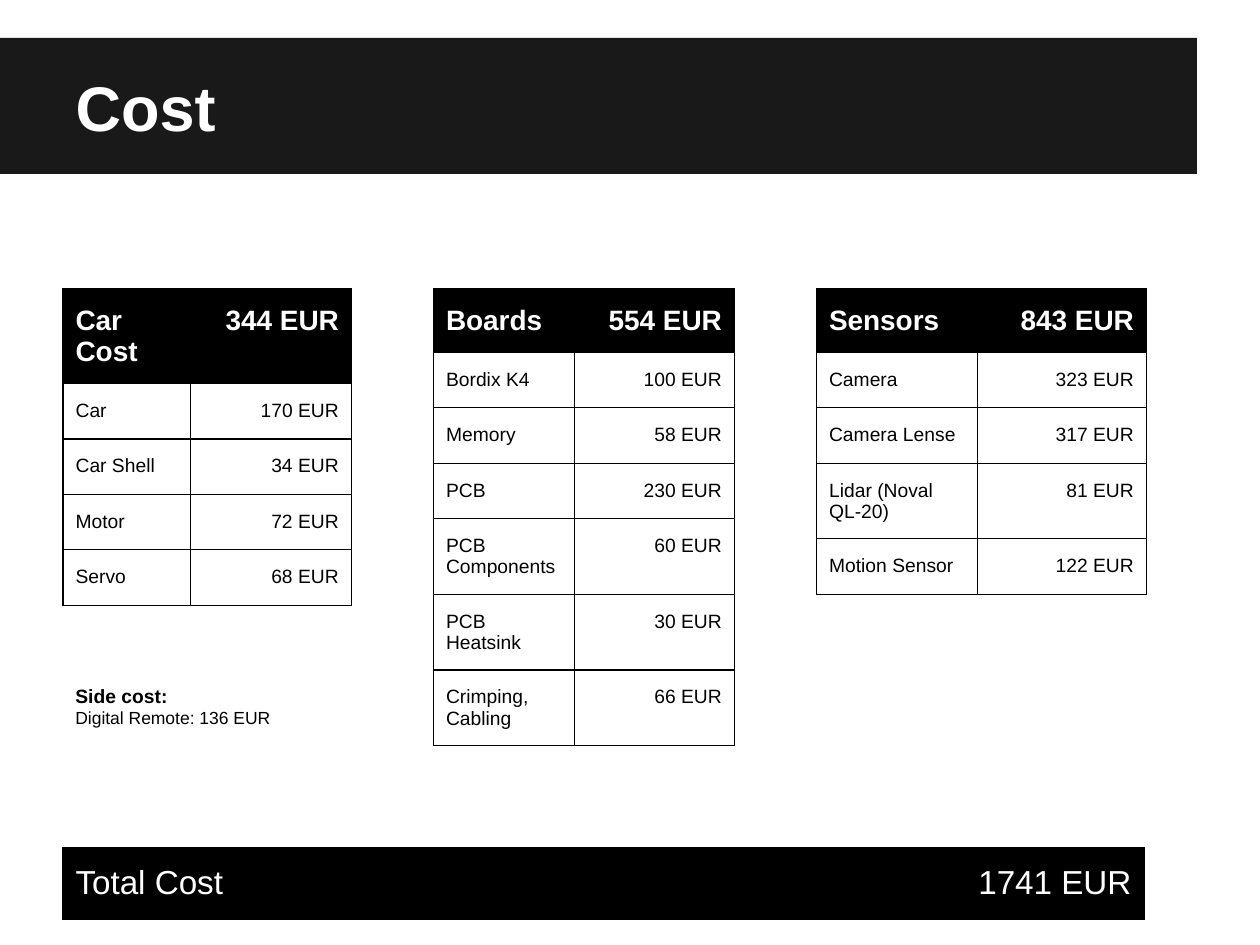
import pptx
import pptx.util
import pptx.dml.color
import pptx.enum.shapes
import pptx.enum.text
import pptx.oxml
import pptx.oxml.ns

Inches = pptx.util.Inches
Align = pptx.enum.text.PP_ALIGN
Anchor = pptx.enum.text.MSO_ANCHOR

TITLE = "Cost"
COST_TABLES = [
    {"left": 0.5, "top": 2.29, "columns": (1.01, 1.28), "row_height": 0.44, "heading": "heading",
     "rows": [("Car Cost", 344), ("Car", 170), ("Car Shell", 34), ("Motor", 72), ("Servo", 68)]},
    {"left": 3.44, "top": 2.29, "columns": (1.12, 1.27), "row_height": 0.44, "heading": "heading",
     "rows": [("Boards", 554), ("Bordix K4", 100), ("Memory", 58), ("PCB", 230),
              ("PCB Components", 60), ("PCB Heatsink", 30), ("Crimping, Cabling", 66)]},
    {"left": 6.48, "top": 2.29, "columns": (1.28, 1.34), "row_height": 0.44, "heading": "heading",
     "rows": [("Sensors", 843), ("Camera", 323), ("Camera Lense", 317),
              ("Lidar (Noval QL-20)", 81), ("Motion Sensor", 122)]},
    {"left": 0.5, "top": 6.73, "columns": (4.29, 4.29), "row_height": 0.57, "heading": "total",
     "rows": [("Total Cost", 1741)]},
]
SIDE_COST = [("Side cost:", "side_heading"), ("Digital Remote: 136 EUR", "side_text")]

THEME = {
    "font": "Arial",
    "band": "191919",
    "header": "000000",
    "border": "000000",
    "border_width": 0.75,
    "text": {
        "title": {"size": 36, "bold": True, "color": "FFFFFF"},
        "heading": {"size": 16, "bold": True, "color": "FFFFFF"},
        "total": {"size": 19, "bold": False, "color": "FFFFFF"},
        "body": {"size": 11, "bold": False, "color": "000000"},
        "side_heading": {"size": 11, "bold": True, "color": "000000"},
        "side_text": {"size": 10, "bold": False, "color": "000000"},
    },
}


def set_attributes(target, values):
    for name, value in values.items():
        setattr(target, name, value)


def rgb(value):
    return pptx.dml.color.RGBColor.from_string(value)


def margins(horizontal, vertical):
    return {"margin_left": Inches(horizontal), "margin_right": Inches(horizontal),
            "margin_top": Inches(vertical), "margin_bottom": Inches(vertical)}


def box(left, top, width, height):
    return {"left": Inches(left), "top": Inches(top),
            "width": Inches(width), "height": Inches(height)}


def write(paragraph, text, style, alignment=Align.LEFT):
    values = THEME["text"][style]
    paragraph.alignment = alignment
    run = paragraph.add_run()
    run.text = text
    set_attributes(run.font, {"name": THEME["font"], "bold": values["bold"],
                              "size": pptx.util.Pt(values["size"])})
    run.font.color.rgb = rgb(values["color"])


def add_borders(cell):
    properties = cell._tc.get_or_add_tcPr()
    width = int(pptx.util.Pt(THEME["border_width"]))
    for position, side in enumerate(("lnL", "lnR", "lnT", "lnB")):
        line = pptx.oxml.parse_xml(
            f'<a:{side} {pptx.oxml.ns.nsdecls("a")} w="{width}"><a:solidFill>'
            f'<a:srgbClr val="{THEME["border"]}"/></a:solidFill></a:{side}>')
        properties.insert(position, line)


def add_cost_table(slide, content):
    rows, columns = content["rows"], content["columns"]
    frame = slide.shapes.add_table(
        len(rows), len(columns), **box(content["left"], content["top"], sum(columns),
                                       content["row_height"] * len(rows)))
    table = frame.table
    set_attributes(table, {"first_row": False, "horz_banding": False})
    for column, width in zip(table.columns, columns):
        column.width = Inches(width)
    for index, (item, price) in enumerate(rows):
        table.rows[index].height = Inches(content["row_height"])
        entries = [(item, Align.LEFT), (f"{price} EUR", Align.RIGHT)]
        for cell, (text, alignment) in zip(table.rows[index].cells, entries):
            set_attributes(cell, margins(0.1, 0.13))
            if index == 0:
                cell.fill.solid()
                cell.fill.fore_color.rgb = rgb(THEME["header"])
            else:
                cell.fill.background()
            add_borders(cell)
            style = content["heading"] if index == 0 else "body"
            write(cell.text_frame.paragraphs[0], text, style, alignment)


def add_title(slide):
    title = slide.shapes.title
    set_attributes(title, box(0.5, 0.3, 9, 0.94))
    set_attributes(title.text_frame, {
        **margins(0.1, 0.1), "word_wrap": True, "vertical_anchor": Anchor.BOTTOM,
        "auto_size": pptx.enum.text.MSO_AUTO_SIZE.NONE})
    write(title.text_frame.paragraphs[0], TITLE, "title")
    band = slide.shapes.add_shape(pptx.enum.shapes.MSO_SHAPE.RECTANGLE, **box(0, 0.3, 9.5, 1.08))
    band.shadow.inherit = False
    band.fill.solid()
    band.fill.fore_color.rgb = rgb(THEME["band"])
    band.line.fill.background()
    title.element.addprevious(band.element)


def add_side_cost(slide):
    text_frame = slide.shapes.add_textbox(**box(0.5, 5.33, 2.69, 1.08)).text_frame
    set_attributes(text_frame, {**margins(0.1, 0.1), "word_wrap": True,
                                "vertical_anchor": Anchor.TOP})
    for index, (text, style) in enumerate(SIDE_COST):
        paragraph = text_frame.add_paragraph() if index else text_frame.paragraphs[0]
        write(paragraph, text, style)


def main():
    presentation = pptx.Presentation()
    set_attributes(presentation, {"slide_width": Inches(10), "slide_height": Inches(7.5)})
    slide = presentation.slides.add_slide(presentation.slide_layouts[5])
    add_title(slide)
    for content in COST_TABLES:
        add_cost_table(slide, content)
    add_side_cost(slide)
    presentation.save("out.pptx")


if __name__ == "__main__":
    main()
